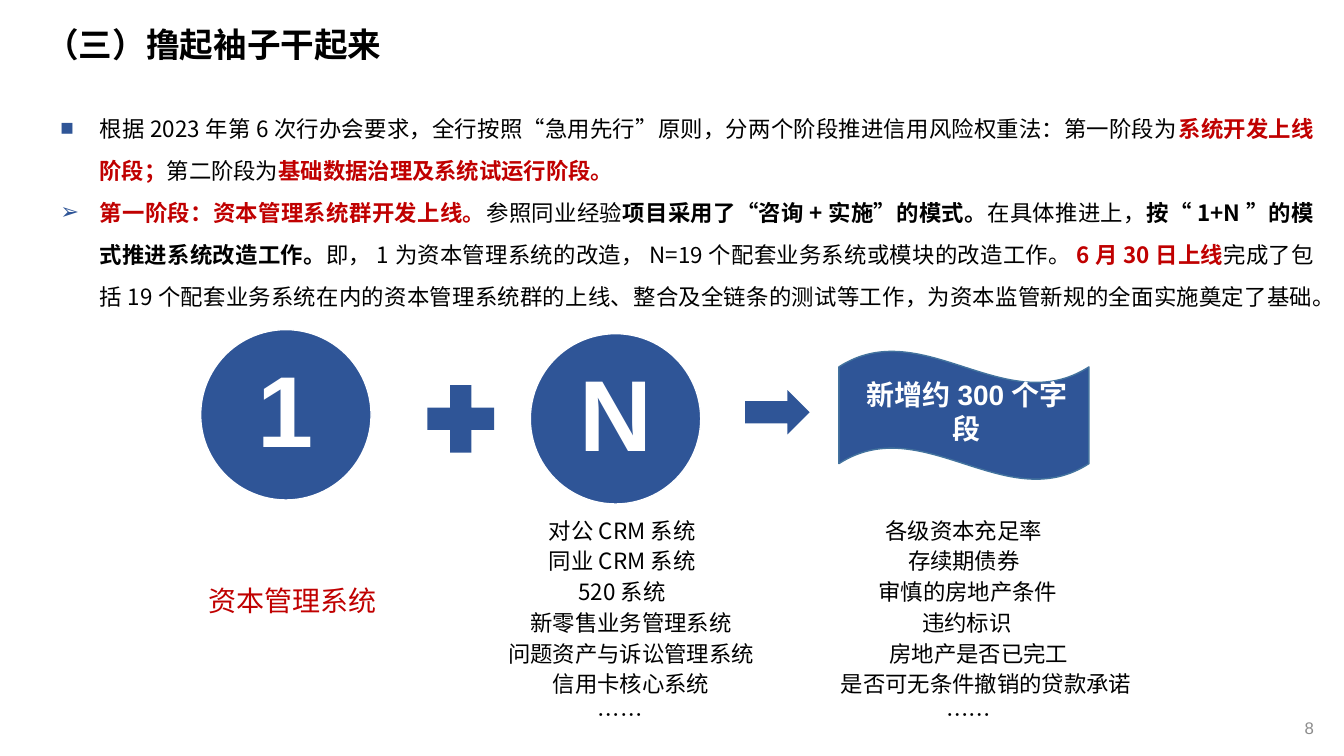
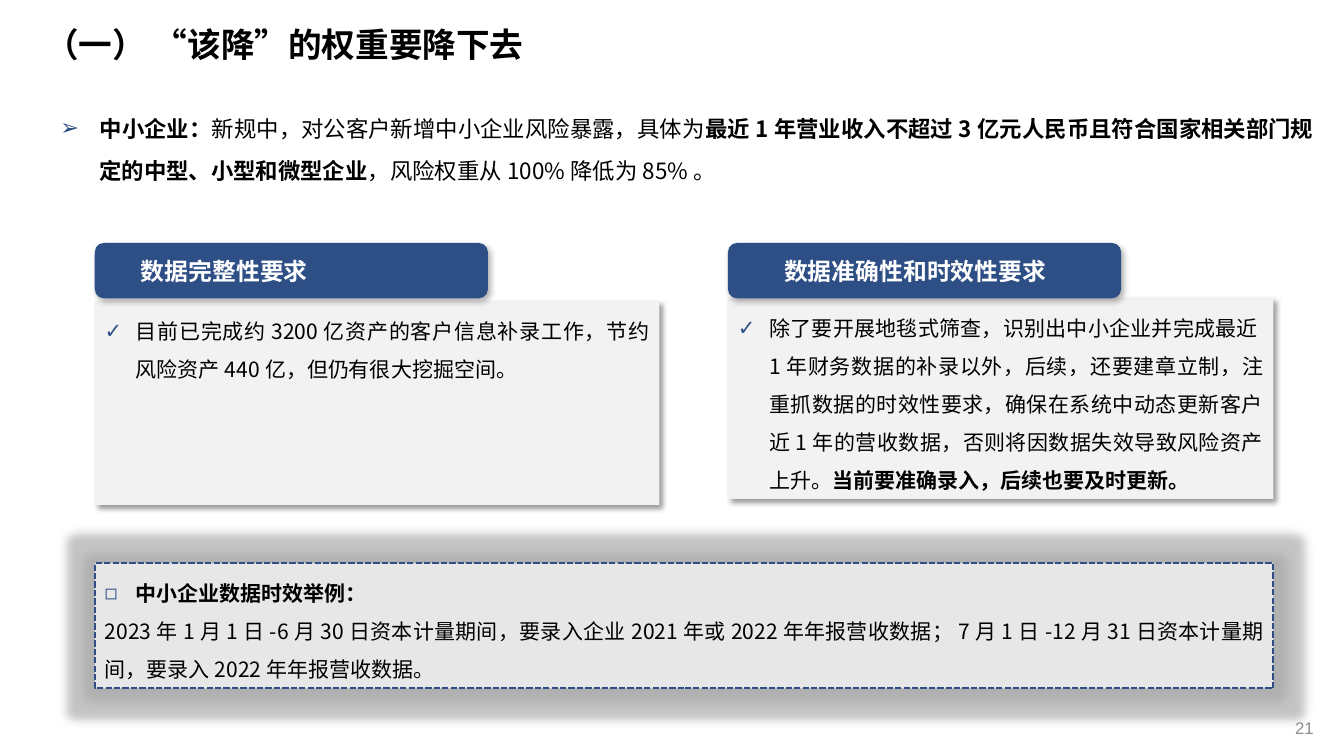
from dataclasses import dataclass
from typing import Optional

from lxml import etree
from pptx import Presentation
from pptx.dml.color import RGBColor
from pptx.enum.dml import MSO_LINE
from pptx.enum.shapes import MSO_SHAPE
from pptx.enum.text import MSO_ANCHOR, MSO_AUTO_SIZE, PP_ALIGN
from pptx.oxml.ns import qn
from pptx.slide import Slide
from pptx.util import Inches, Pt

LEFT, CENTER, RIGHT, JUSTIFY = PP_ALIGN.LEFT, PP_ALIGN.CENTER, PP_ALIGN.RIGHT, PP_ALIGN.JUSTIFY
TOP, MIDDLE, BOTTOM = MSO_ANCHOR.TOP, MSO_ANCHOR.MIDDLE, MSO_ANCHOR.BOTTOM
RECTANGLE, ROUNDED = MSO_SHAPE.RECTANGLE, MSO_SHAPE.ROUNDED_RECTANGLE
OVAL, CROSS, ARROW, WAVE = MSO_SHAPE.OVAL, MSO_SHAPE.CROSS, MSO_SHAPE.RIGHT_ARROW, MSO_SHAPE.WAVE
SHORT_DASH = MSO_LINE.SQUARE_DOT

CJK, LATIN = "Noto Sans CJK SC", "Arial"
COLORS = {
    "black": "000000", "white": "FFFFFF", "red": "C00000", "grey": "8C8C8C",
    "blue": "2F5597", "navy": "2E4F85", "wave_line": "43739E",
    "card": "F2F2F2", "example": "E7E7E7", "glow": "A5A5A5",
}


@dataclass(frozen=True)
class Box:
    left: float
    top: float
    width: float
    height: float

    def lengths(self) -> tuple:
        return tuple(Inches(value) for value in (self.left, self.top, self.width, self.height))


@dataclass(frozen=True)
class Span:
    text: str
    bold: bool = False
    color: Optional[str] = None


@dataclass(frozen=True)
class Bullet:
    mark: str
    color: str
    indent: float


@dataclass(frozen=True)
class Style:
    size: float
    color: str = "black"
    bold: bool = False
    font: str = CJK
    align: PP_ALIGN = LEFT
    spacing: object = None


@dataclass(frozen=True)
class Para:
    spans: tuple
    bullet: Optional[Bullet] = None


@dataclass(frozen=True)
class Shadow:
    opacity: int
    blur: float
    distance: float
    angle: int


@dataclass(frozen=True)
class ListColumn:
    width: float
    items: tuple  # (text, centre) pairs


@dataclass(frozen=True)
class Card:
    header: str
    header_inset: float
    panel: Box
    spans: tuple


MARGINS = (0.1, 0.05, 0.1, 0.05)
BODY = Style(16, align=JUSTIFY, spacing=Pt(30))
CARD_TEXT = Style(15, align=JUSTIFY, spacing=1.5)
TITLE = Style(24, bold=True)
NUMBER = Style(12, "grey", font=LATIN, align=RIGHT)
ITEM = Style(16, align=CENTER)
CARD_HEADER = Style(17, "white", bold=True)
PANEL_SHADOW, HEADER_SHADOW = Shadow(40, 4, 3, 45), Shadow(30, 4.5, 2.6, 53)


def rgb(name: str) -> RGBColor:
    return RGBColor.from_string(COLORS[name])


def add_element(parent, tag: str, **attributes):
    return etree.SubElement(parent, qn(tag), {key: str(value) for key, value in attributes.items()})


def add_color(parent, name: str, opacity: int = 100) -> None:
    color = add_element(parent, "a:srgbClr", val=COLORS[name])
    if opacity < 100:
        add_element(color, "a:alpha", val=opacity * 1000)


def plain(text: str) -> tuple:
    return (Para((Span(text),)),)


# Text
def format_paragraph(paragraph, para: Para, style: Style) -> None:
    paragraph.alignment = style.align
    if style.spacing:
        paragraph.line_spacing = style.spacing
    properties = paragraph._p.get_or_add_pPr()
    if para.bullet:
        indent = Inches(para.bullet.indent)
        properties.set("marL", str(indent))
        properties.set("indent", str(-indent))
        add_color(add_element(properties, "a:buClr"), para.bullet.color)
        add_element(properties, "a:buFont", typeface=LATIN)
        add_element(properties, "a:buChar", char=para.bullet.mark)
    font = paragraph.font
    font.name, font.size, font.bold = style.font, Pt(style.size), style.bold
    font.color.rgb = rgb(style.color)
    add_element(properties.find(qn("a:defRPr")), "a:ea", typeface=CJK)
    for span in para.spans:
        run = paragraph.add_run()
        run.text = span.text
        if span.bold:
            run.font.bold = True
        if span.color:
            run.font.color.rgb = rgb(span.color)


def write(shape, paras: tuple, style: Style, anchor=MIDDLE, margins: tuple = MARGINS) -> None:
    frame = shape.text_frame
    frame.word_wrap, frame.auto_size = True, MSO_AUTO_SIZE.NONE
    frame.vertical_anchor = anchor
    (frame.margin_left, frame.margin_top,
     frame.margin_right, frame.margin_bottom) = (Inches(margin) for margin in margins)
    for index, para in enumerate(paras):
        paragraph = frame.add_paragraph() if index else frame.paragraphs[0]
        format_paragraph(paragraph, para, style)


def add_text(slide: Slide, box: Box, paras: tuple, style: Style, anchor=MIDDLE) -> None:
    write(slide.shapes.add_textbox(*box.lengths()), paras, style, anchor)


# Shapes
def add_shape(slide: Slide, kind, box: Box, fill: str, line: Optional[str] = None,
              line_width: float = 1):
    shape = slide.shapes.add_shape(kind, *box.lengths())
    shape.shadow.inherit = False
    shape.fill.solid()
    shape.fill.fore_color.rgb = rgb(fill)
    if line:
        shape.line.color.rgb = rgb(line)
        shape.line.width = Pt(line_width)
    else:
        shape.line.fill.background()
    return shape


def effects(shape):
    return shape._element.spPr.find(qn("a:effectLst"))


def add_shadow(shape, shadow: Shadow) -> None:
    outer = add_element(effects(shape), "a:outerShdw", blurRad=Pt(shadow.blur),
                        dist=Pt(shadow.distance), dir=shadow.angle * 60000,
                        algn="tl", rotWithShape=0)
    add_color(outer, "black", shadow.opacity)


# Frame shared by both slides
def add_slide(presentation, title: str, number: int, body: tuple, body_height: float) -> Slide:
    slide = presentation.slides.add_slide(presentation.slide_layouts[5])
    heading = slide.shapes.title
    heading.left, heading.top, heading.width, heading.height = Box(0.35, 0.22, 8.47, 0.42).lengths()
    write(heading, plain(title), TITLE, BOTTOM, (0.1, 0, 0.1, 0))
    add_text(slide, Box(0.5, 0.94, 12.63, body_height), body, BODY, TOP)
    add_text(slide, Box(12.13, 7.06, 1, 0.33), plain(str(number)), NUMBER)
    return slide


def build_rollout(presentation) -> None:
    body = (
        Para((
            Span("根据2023年第6次行办会要求，全行按照“急用先行”原则，分两个阶段推进信用风险权重法：第一阶段为"),
            Span("系统开发上线阶段；", True, "red"),
            Span("第二阶段为"),
            Span("基础数据治理及系统试运行阶段。", True, "red"),
        ), Bullet("■", "blue", 0.39)),
        Para((
            Span("第一阶段：资本管理系统群开发上线。", True, "red"),
            Span("参照同业经验"),
            Span("项目采用了“咨询+实施”的模式。", True),
            Span("在具体推进上，"),
            Span("按“1+N”的模式推进系统改造工作。", True),
            Span("即，1为资本管理系统的改造，N=19个配套业务系统或模块的改造工作。"),
            Span("6月30日上线", True, "red"),
            Span("完成了包括19个配套业务系统在内的资本管理系统群的上线、整合及全链条的测试等工作，"
                 "为资本监管新规的全面实施奠定了基础。"),
        ), Bullet("➢", "blue", 0.39)),
    )
    slide = add_slide(presentation, "（三）撸起袖子干起来", 8, body, 2.2)

    # 1 + N -> new fields
    for label, left, top in (("1", 1.99, 3.27), ("N", 5.26, 3.31)):
        circle = add_shape(slide, OVAL, Box(left, top, 1.69, 1.69), "blue", "white")
        write(circle, plain(label), Style(72, "white", True, LATIN, CENTER, 0.9),
              margins=(0.1, 0.1, 0.1, 0.1))
    plus = add_shape(slide, CROSS, Box(4.24, 3.82, 0.66, 0.67), "blue")
    plus.adjustments[0] = 0.34
    add_shape(slide, ARROW, Box(7.39, 3.87, 0.64, 0.44), "blue")
    wave = add_shape(slide, WAVE, Box(8.32, 3.48, 2.48, 1.28), "blue", "wave_line")
    write(wave, plain("新增约300个字段"), Style(20, "white", True, LATIN, CENTER),
          margins=(0.17, 0.05, 0.11, 0.13))

    # Lists under the diagram
    add_text(slide, Box(1.91, 5.58, 1.98, 0.76), plain("资本管理系统"),
             Style(20, "red", align=CENTER))
    columns = (
        ListColumn(2.67, (
            ("对公CRM系统", 6.17), ("同业CRM系统", 6.17), ("520系统", 6.17),
            ("新零售业务管理系统", 6.26), ("问题资产与诉讼管理系统", 6.26),
            ("信用卡核心系统", 6.26), ("……", 6.15))),
        ListColumn(3.09, (
            ("各级资本充足率", 9.56), ("存续期债券", 9.56), ("审慎的房地产条件", 9.6),
            ("违约标识", 9.59), ("房地产是否已完工", 9.71),
            ("是否可无条件撤销的贷款承诺", 9.78), ("……", 9.61))),
    )
    first_top, row_pitch = 5.11, 0.305
    for column in columns:
        for row, (text, centre) in enumerate(column.items):
            box = Box(centre - column.width / 2, first_top + row * row_pitch, column.width, 0.3)
            add_text(slide, box, plain(text), ITEM)


def add_card(slide: Slide, card: Card) -> None:
    panel = add_shape(slide, RECTANGLE, card.panel, "card")
    add_shadow(panel, PANEL_SHADOW)
    write(panel, (Para(card.spans, Bullet("✓", "navy", 0.31)),), CARD_TEXT, TOP)
    header = add_shape(slide, ROUNDED, Box(card.panel.left, 2.41, 3.9, 0.55), "navy")
    add_shadow(header, HEADER_SHADOW)
    write(header, plain(card.header), CARD_HEADER, margins=(card.header_inset, 0, 0.1, 0))


def build_weights(presentation) -> None:
    body = (Para((
        Span("中小企业：", True),
        Span("新规中，对公客户新增中小企业风险暴露，具体为"),
        Span("最近1年营业收入不超过3亿元人民币且符合国家相关部门规定的中型、小型和微型企业", True),
        Span("，风险权重从100%降低为85%。"),
    ), Bullet("➢", "navy", 0.39)),)
    slide = add_slide(presentation, "（一） “该降”的权重要降下去", 21, body, 0.89)

    # Requirement cards
    cards = (
        Card("数据完整性要求", 0.43, Box(0.94, 2.99, 5.6, 2.02), (
            Span("目前已完成约3200亿资产的客户信息补录工作，节约风险资产440亿，但仍有很大挖掘空间。"),)),
        Card("数据准确性和时效性要求", 0.53, Box(7.22, 2.96, 5.41, 1.99), (
            Span("除了要开展地毯式筛查，识别出中小企业并完成最近1年财务数据的补录以外，后续，还要建章立制，"
                 "注重抓数据的时效性要求，确保在系统中动态更新客户近1年的营收数据，"
                 "否则将因数据失效导致风险资产上升。"),
            Span("当前要准确录入，后续也要及时更新。", True))),
    )
    for card in cards:
        add_card(slide, card)

    # Worked example
    example = add_shape(slide, RECTANGLE, Box(0.94, 5.59, 11.69, 1.24), "example", "navy", 1.5)
    example.line.dash_style = SHORT_DASH
    add_color(add_element(effects(example), "a:glow", rad=Inches(0.2)), "glow", 65)
    write(example, (
        Para((Span("中小企业数据时效举例：", True),), Bullet("◻", "navy", 0.31)),
        Para((Span("2023年1月1日-6月30日资本计量期间，要录入企业2021年或2022年年报营收数据；"
                   "7月1日-12月31日资本计量期间，要录入2022年年报营收数据。"),)),
    ), CARD_TEXT, TOP)


def main() -> None:
    presentation = Presentation()
    presentation.slide_width, presentation.slide_height = Inches(13.33), Inches(7.5)
    build_rollout(presentation)
    build_weights(presentation)
    presentation.save("out.pptx")


if __name__ == "__main__":
    main()
